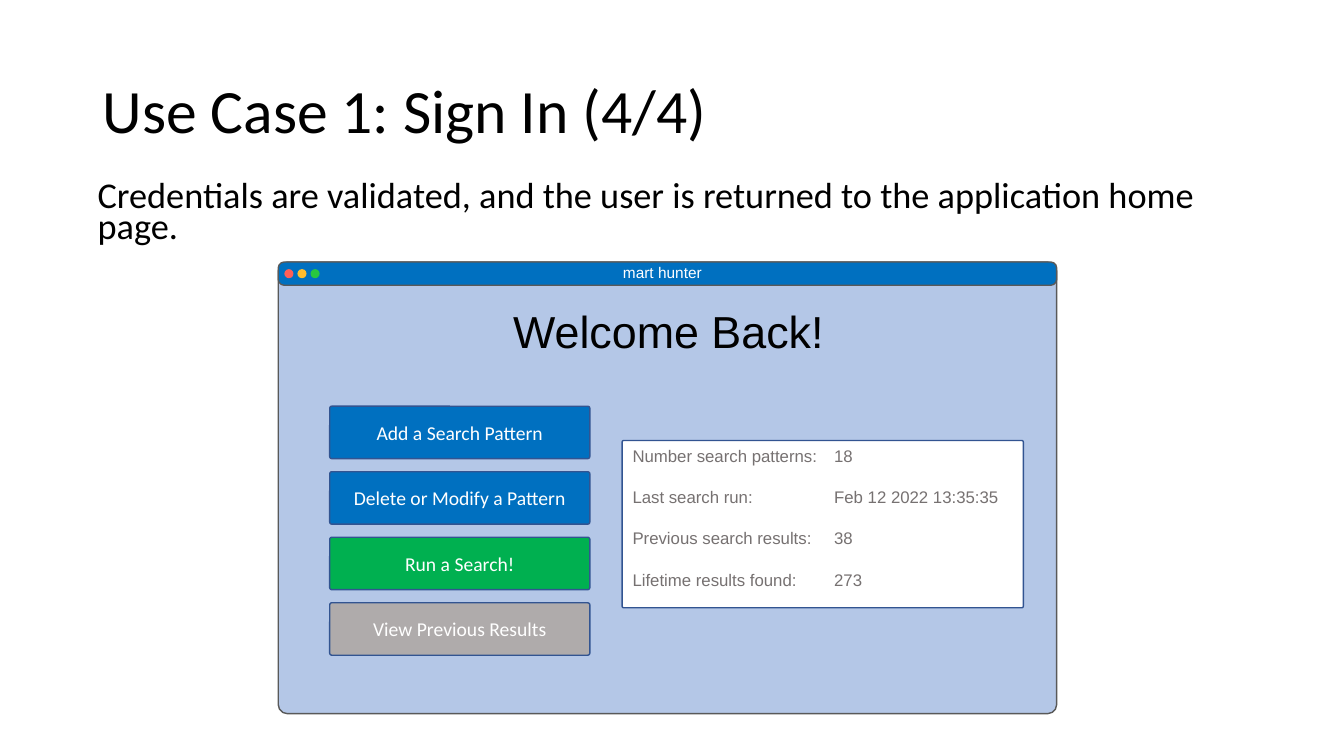
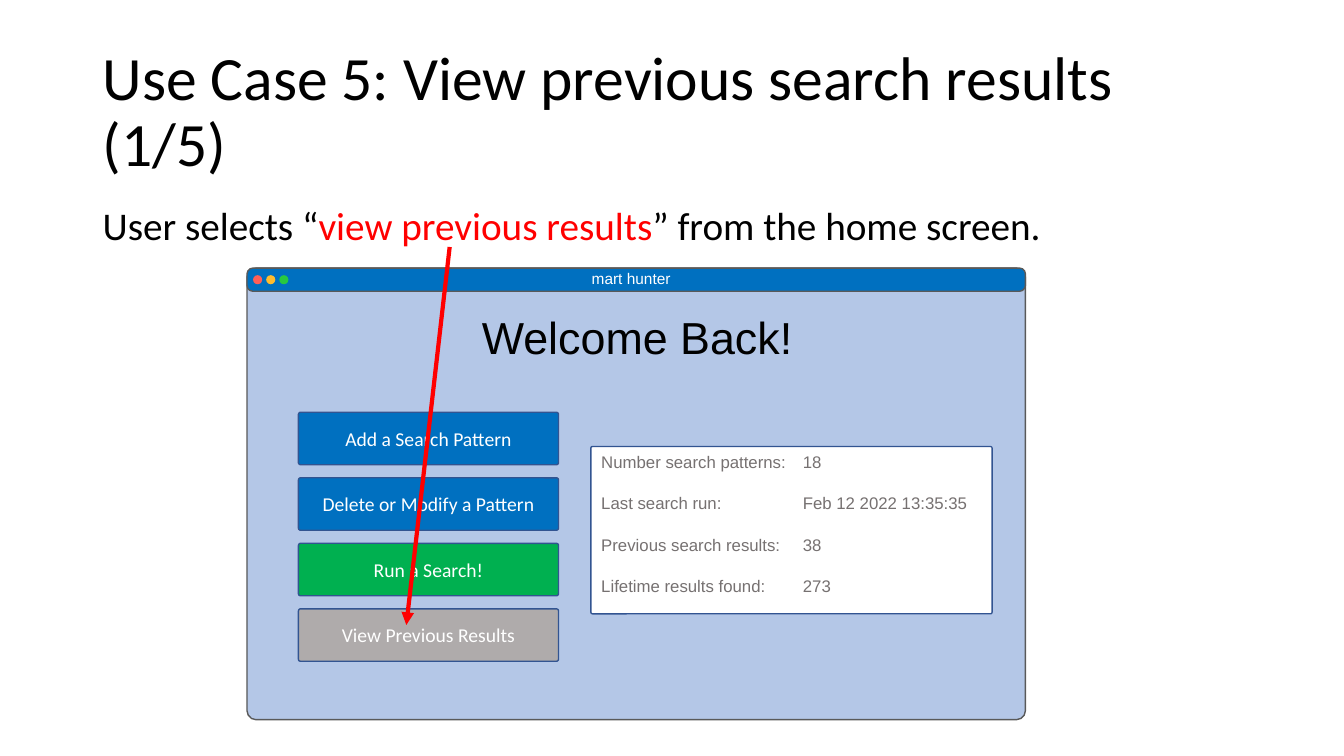
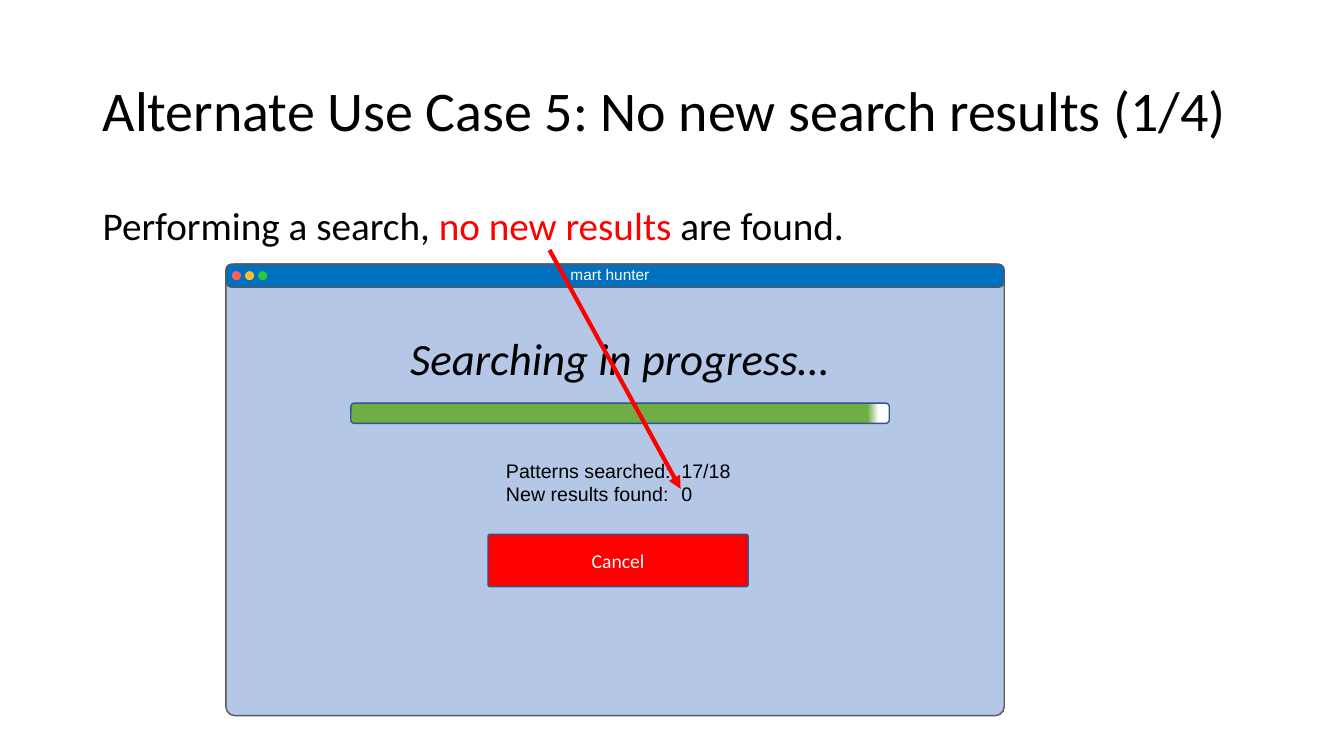
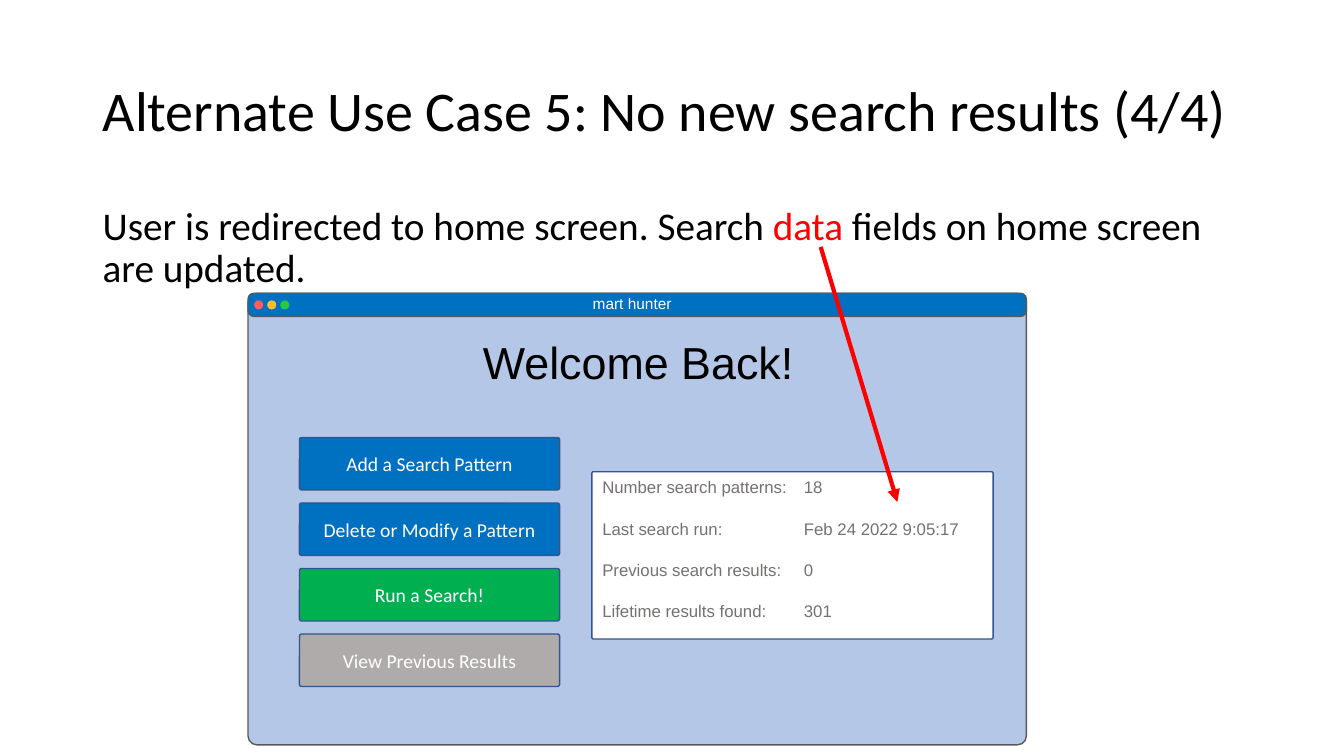
import pptx
import pptx.dml.color
import pptx.enum.shapes
import pptx.enum.text
import pptx.oxml
import pptx.oxml.ns
import pptx.util

Inches, Pt = pptx.util.Inches, pptx.util.Pt
SHAPE = pptx.enum.shapes.MSO_SHAPE
ALIGN = pptx.enum.text.PP_ALIGN
ANCHOR = pptx.enum.text.MSO_ANCHOR

COLORS = {
    "text": "000000", "white": "FFFFFF", "accent": "FF0000", "muted": "767171",
    "window": "B4C7E7", "window_line": "595959", "line": "325491",
    "blue": "0070C0", "green": "00B050", "gray": "AFABAB", "progress": "70AD47",
    "close": "FF5F57", "minimize": "FFBC2E", "zoom": "28C840",
}
HEAD_FONT, APP_FONT = "Calibri", "Arial"
APP_NAME = "mart hunter"
WINDOW_DOTS = ["close", "minimize", "zoom"]
HOME_BUTTONS = [
    ("Add a Search Pattern", "blue"),
    ("Delete or Modify a Pattern", "blue"),
    ("Run a Search!", "green"),
    ("View Previous Results", "gray"),
]
STAT_LABELS = ["Number search patterns:", "Last search run:",
               "Previous search results:", "Lifetime results found:"]
STATS_BEFORE = ["18", "Feb 12 2022 13:35:35", "38", "273"]
STATS_AFTER = ["18", "Feb 24 2022 9:05:17", "0", "301"]
SEARCH_STATUS = [("Patterns searched:", "17/18"), ("New results found:", "0")]

# "stats" gives a home screen; without it the search screen is shown.
SLIDES = [
    {"title": "Use Case 1: Sign In (4/4)", "title_size": 44,
     "body": [("Credentials are validated, and the user is returned to the "
               "application home page.", "text")],
     "body_at": (0.87, 1.78), "body_size": 25.9, "body_spacing": 0.7,
     "window_at": (2.76, 2.6), "stats": STATS_BEFORE},
    {"title": "Use Case 5: View previous search results (1/5)", "title_size": 44,
     "body": [("User selects “", "text"), ("view previous results", "accent"),
              ("” from the home screen.", "text")],
     "window_at": (2.45, 2.66), "stats": STATS_BEFORE,
     "arrow": (4.46, 2.45, 4.03, 6.2)},
    {"title": "Alternate Use Case 5: No new search results (1/4)", "title_size": 40,
     "body": [("Performing a search, ", "text"), ("no new results", "accent"),
              (" are found.", "text")],
     "window_at": (2.24, 2.62), "arrow": (5.45, 2.48, 6.75, 4.85)},
    {"title": "Alternate Use Case 5: No new search results (4/4)", "title_size": 40,
     "body": [("User is redirected to home screen. Search ", "text"),
              ("data ", "accent"), ("fields on home screen are updated.", "text")],
     "window_at": (2.46, 2.91), "stats": STATS_AFTER,
     "arrow": (8.14, 2.45, 8.9, 4.98)},
]


def rgb(name):
    return pptx.dml.color.RGBColor.from_string(COLORS[name])


def add_runs(p, runs, size, font, italic=None):
    for text, color in runs:
        r = p.add_run()
        r.text = text
        r.font.size, r.font.name, r.font.italic = Pt(size), font, italic
        r.font.color.rgb = rgb(color)


def add_text(shapes, box, runs, size, font, wrap=False, italic=None):
    """Add a text box with one paragraph; return its text frame."""
    tf = shapes.add_textbox(*map(Inches, box)).text_frame
    tf.word_wrap = wrap
    add_runs(tf.paragraphs[0], runs, size, font, italic)
    return tf


def add_rows(tf, rows, size, color, tab, gap=0):
    """Fill a frame with label and value pairs split by a tab stop."""
    for i, row in enumerate(rows):
        p = tf.paragraphs[0] if i == 0 else tf.add_paragraph()
        p.alignment = ALIGN.LEFT
        p.space_after = Pt(gap)
        tabs = pptx.oxml.parse_xml(
            f'<a:tabLst {pptx.oxml.ns.nsdecls("a")}>'
            f'<a:tab pos="{Inches(tab)}" algn="l"/></a:tabLst>')
        p._p.get_or_add_pPr().append(tabs)
        add_runs(p, [("\t".join(row), color)], size, APP_FONT)


def add_box(shapes, box, fill, line=None, kind=SHAPE.ROUNDED_RECTANGLE, radius=None):
    sp = shapes.add_shape(kind, *map(Inches, box))
    sp.shadow.inherit = False
    sp.fill.solid()
    sp.fill.fore_color.rgb = rgb(fill)
    if radius is not None:
        sp.adjustments[0] = radius
    if line:
        sp.line.color.rgb = rgb(line)
        sp.line.width = Pt(1)
    else:
        sp.line.fill.background()
    return sp


def add_button(shapes, x, y, label, fill):
    tf = add_box(shapes, (x, y, 2.58, 0.52), fill, "line", radius=0.04).text_frame
    tf.vertical_anchor = ANCHOR.MIDDLE
    tf.paragraphs[0].alignment = ALIGN.CENTER
    add_runs(tf.paragraphs[0], [(label, "white")], 14, HEAD_FONT)


def add_window(slide, x, y):
    """Draw the application window; return the shapes of its group."""
    shapes = slide.shapes.add_group_shape().shapes
    add_box(shapes, (x, y, 7.72, 4.48), "window", "window_line", radius=0.02)
    add_box(shapes, (x, y, 7.72, 0.23), "blue", "window_line", radius=0.25)
    for i, dot in enumerate(WINDOW_DOTS):
        add_box(shapes, (x + 0.06 + 0.13 * i, y + 0.07, 0.09, 0.09), dot, kind=SHAPE.OVAL)
    add_text(shapes, (x + 3.32, y - 0.04, 1.02, 0.29), [(APP_NAME, "white")], 11, APP_FONT)
    return shapes


def add_home_screen(shapes, x, y, stats):
    add_text(shapes, (x + 2.23, y + 0.36, 3.31, 0.64),
             [("Welcome Back!", "text")], 32, APP_FONT)
    for i, (label, fill) in enumerate(HOME_BUTTONS):
        add_button(shapes, x + 0.51, y + 1.43 + 0.65 * i, label, fill)
    panel = add_box(shapes, (x + 3.41, y + 1.77, 3.98, 1.66), "white", "line", radius=0.01)
    panel.text_frame.vertical_anchor = ANCHOR.TOP
    add_rows(panel.text_frame, zip(STAT_LABELS, stats), 12, "muted", tab=2, gap=15)


def add_search_screen(shapes, x, y):
    add_text(shapes, (x + 1.73, y + 0.61, 4.4, 0.64),
             [("Searching in progress…", "text")], 32, HEAD_FONT, italic=True)
    bar = add_box(shapes, (x + 1.24, y + 1.38, 5.34, 0.2), "white", "line")
    bar.fill.gradient()
    bar.fill.gradient_angle = 0
    for stop, (pos, color) in zip(bar.fill.gradient_stops,
                                  [(0.96, "progress"), (0.98, "white")]):
        stop.position = pos
        stop.color.rgb = rgb(color)
    status = add_text(shapes, (x + 2.68, y + 1.88, 2.46, 0.57), [], 14, APP_FONT, wrap=True)
    add_rows(status, SEARCH_STATUS, 14, "text", tab=1.74)
    add_button(shapes, x + 2.6, y + 2.68, "Cancel", "accent")


def add_arrow(slide, ends):
    line = slide.shapes.add_connector(
        pptx.enum.shapes.MSO_CONNECTOR.STRAIGHT, *map(Inches, ends))
    line.line.color.rgb = rgb("accent")
    line.line.width = Pt(3)
    ns = pptx.oxml.ns.nsdecls("a")
    line.line._get_or_add_ln().append(
        pptx.oxml.parse_xml(f'<a:tailEnd {ns} type="triangle"/>'))
    line._element.spPr.append(pptx.oxml.parse_xml(f"<a:effectLst {ns}/>"))


def add_heading(slide, data):
    tf = add_text(slide.shapes, (0.92, 0.4, 11.5, 1.45), [(data["title"], "text")],
                  data["title_size"], HEAD_FONT, wrap=True)
    tf.vertical_anchor = ANCHOR.MIDDLE
    tf.paragraphs[0].line_spacing = 0.9
    tf = add_text(slide.shapes, (*data.get("body_at", (0.92, 2)), 11.5, 0.9), data["body"],
                  data.get("body_size", 28), HEAD_FONT, wrap=True)
    tf.paragraphs[0].line_spacing = data.get("body_spacing", 0.9)


def main():
    prs = pptx.Presentation()
    prs.slide_width, prs.slide_height = Inches(13.33), Inches(7.5)
    for data in SLIDES:
        slide = prs.slides.add_slide(prs.slide_layouts[6])
        add_heading(slide, data)
        x, y = data["window_at"]
        shapes = add_window(slide, x, y)
        if "stats" in data:
            add_home_screen(shapes, x, y, data["stats"])
        else:
            add_search_screen(shapes, x, y)
        if "arrow" in data:
            add_arrow(slide, data["arrow"])
    prs.save("out.pptx")


if __name__ == "__main__":
    main()
